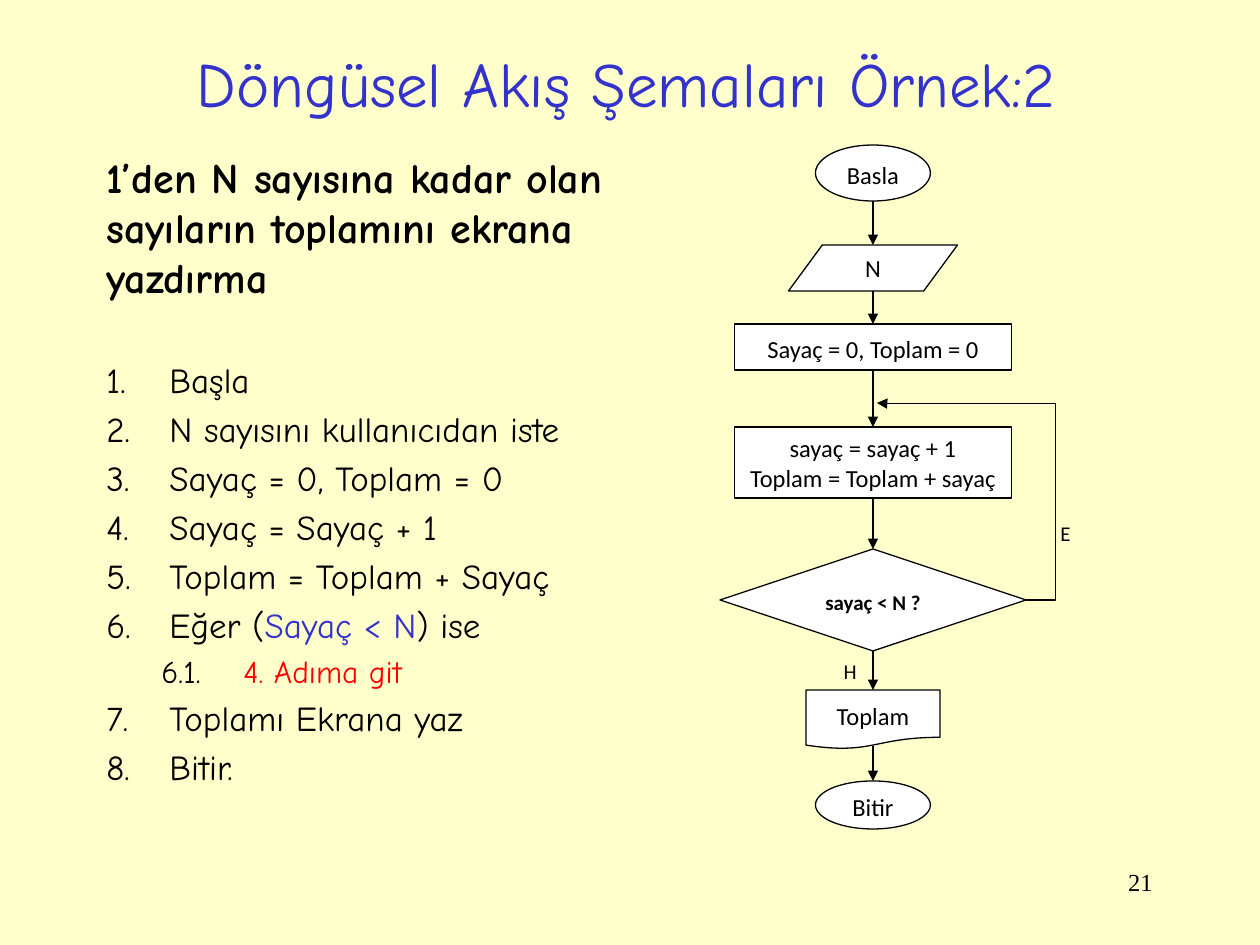
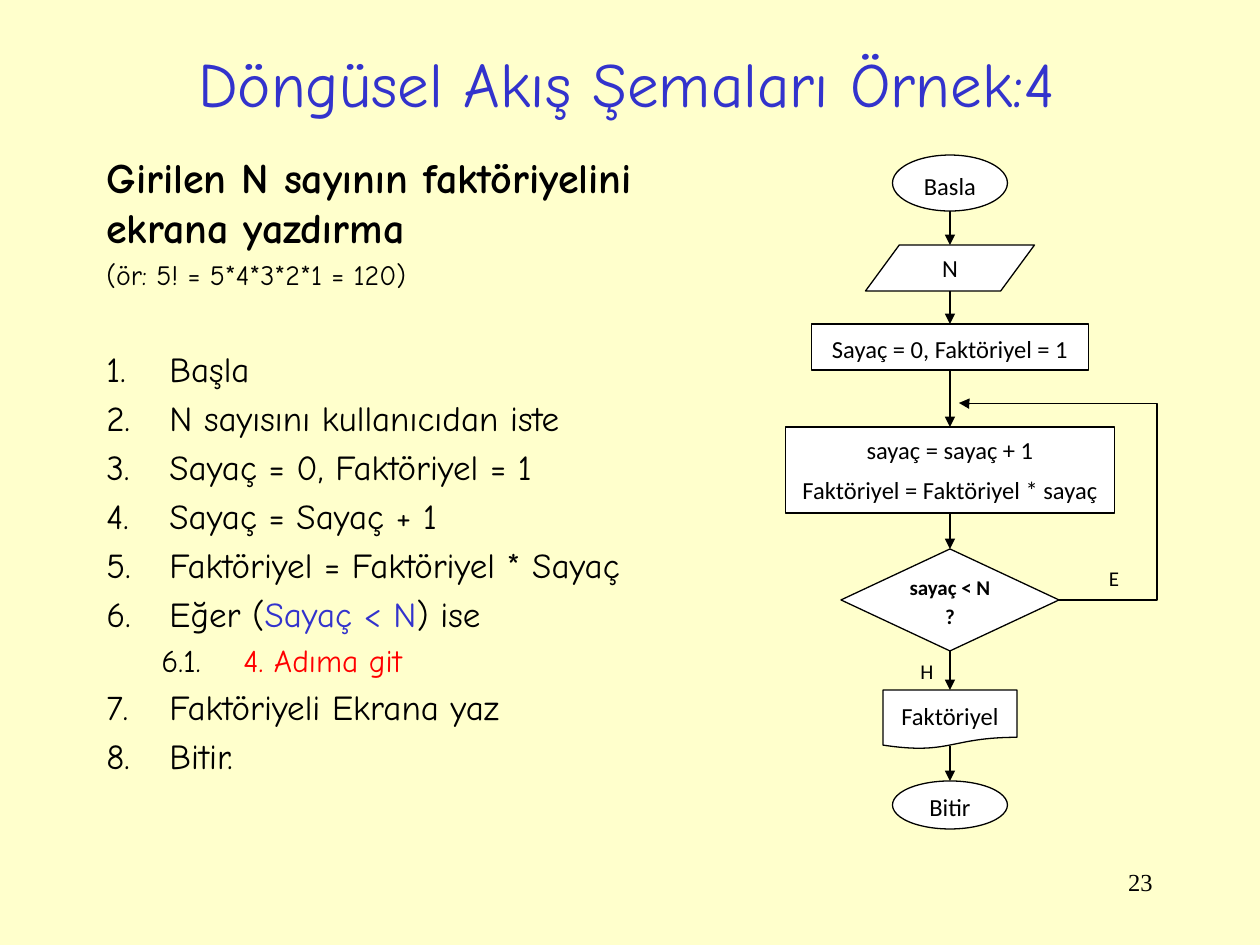
from lxml import etree
from pptx import Presentation, util as u
from pptx.dml.color import RGBColor
from pptx.enum import shapes, text
from pptx.oxml import ns

SCALE = 914400 / 126
CREAM = RGBColor(0xFF, 0xFF, 0xCC)
BLUE = RGBColor(0x33, 0x33, 0xCC)
RED = RGBColor(0xFF, 0, 0)
BLACK = RGBColor(0, 0, 0)
WHITE = RGBColor(0xFF, 0xFF, 0xFF)
HAND, SANS, SERIF = "Comic Neue", "Calibri", "Times New Roman"
CENTER, RIGHT = text.PP_ALIGN.CENTER, text.PP_ALIGN.RIGHT
MIDDLE, TOP = text.MSO_ANCHOR.MIDDLE, text.MSO_ANCHOR.TOP
KIND = shapes.MSO_SHAPE
LOOSE = dict(line=1.15, after=10)


def px(n):
    """Turn pixels into EMU."""
    return u.Emu(round(n * SCALE))


def sub(parent, tag, **attrs):
    """Append an XML child such as a:ln with its attributes."""
    return etree.SubElement(parent, ns.qn(tag), **attrs)


def write(p, content, font=SANS, size=14, color=BLACK, bold=False, align=None,
          line=None, before=None, after=None, margin=0, indent=0, level=0, numbered=False):
    """Fill a paragraph with a string or with (string, colour) runs."""
    runs = [(content, color)] if isinstance(content, str) else content
    for words, tint in runs:
        r = p.add_run()
        r.text = words
        r.font.name, r.font.size, r.font.bold = font, u.Pt(size), bold
        r.font.color.rgb = tint
    p.level = level
    if align is not None:
        p.alignment = align
    if line:
        p.line_spacing = line
    if before is not None:
        p.space_before = u.Pt(before)
    if after is not None:
        p.space_after = u.Pt(after)
    pPr = p._p.get_or_add_pPr()
    pPr.set("marL", str(px(margin)))
    pPr.set("indent", str(px(indent)))
    if numbered:
        sub(pPr, "a:buFont", typeface="+mj-lt")
        sub(pPr, "a:buAutoNum", type="arabicPeriod")


def write_lines(tf, lines, anchor=MIDDLE, **fmt):
    """Write equally formatted paragraphs into a text frame."""
    tf.word_wrap, tf.vertical_anchor = True, anchor
    for i, words in enumerate(lines):
        write(tf.paragraphs[0] if i == 0 else tf.add_paragraph(), words, **fmt)


def add_label(slide, box, words, **fmt):
    """Add a text box with one paragraph."""
    tf = slide.shapes.add_textbox(*map(px, box)).text_frame
    write_lines(tf, [words], **fmt)


def add_node(slide, kind, cx, top, width, height, lines, **fmt):
    """Add a flowchart shape centred on cx."""
    sp = slide.shapes.add_shape(kind, px(cx - width / 2), px(top), px(width), px(height))
    sp.shadow.inherit = False
    sp.fill.solid()
    sp.fill.fore_color.rgb = WHITE
    sp.line.color.rgb, sp.line.width = BLACK, u.Pt(0.75)
    write_lines(sp.text_frame, lines, align=CENTER, **fmt)


def add_arrow(slide, x1, y1, x2, y2, kind=shapes.MSO_CONNECTOR.STRAIGHT):
    """Add a connector with an arrowhead at its end."""
    c = slide.shapes.add_connector(kind, px(x1), px(y1), px(x2), px(y2))
    c.line.color.rgb, c.line.width = BLACK, u.Pt(0.75)
    sub(c.line._get_or_add_ln(), "a:tailEnd", type="triangle")
    sub(c._element.spPr, "a:effectLst")
    return c


def add_loop(slide, x1, y1, x2, y2, rail):
    """Add the return arrow that runs up along x = rail."""
    c = add_arrow(slide, x1, y1, x2, y2, shapes.MSO_CONNECTOR.ELBOW)
    geom = c._element.spPr.find(ns.qn("a:prstGeom"))
    geom.set("prst", "bentConnector4")
    guides = geom.find(ns.qn("a:avLst"))
    if guides is None:
        guides = sub(geom, "a:avLst")
    bend = round((x1 - rail) / (x1 - x2) * 100000)
    for name, value in (("adj1", bend), ("adj2", 99700)):
        sub(guides, "a:gd", name=name, fmla=f"val {value}")


def add_steps(slide, box, heading, note, steps):
    """Write the task, its note and the numbered algorithm."""
    tf = slide.shapes.add_textbox(*map(px, box)).text_frame
    tf.word_wrap, tf.vertical_anchor = True, TOP
    write(tf.paragraphs[0], heading, font=HAND, size=24, bold=True, before=4.8)
    if note:
        write(tf.add_paragraph(), note, font=HAND, size=16, before=3.2)
    for i, step in enumerate(steps):
        write(tf.add_paragraph(), step, font=HAND, size=20, before=4 if i else 32,
              margin=63, indent=-63, numbered=True)
        if i == 5:
            write(tf.add_paragraph(), [("6.1.\t", BLACK), ("4. Adıma git", RED)],
                  font=HAND, size=18, before=3.6, margin=137, indent=-82, level=1)


def add_flow(slide, cx, start_top, setup, process, process_size, process_after,
             test_width, output, loop_end, rail, e_box):
    """Draw the flowchart down the axis cx."""
    process_width, process_height = process_size
    nodes = [
        (KIND.FLOWCHART_CONNECTOR, start_top, 115, 56, ["Basla"], LOOSE),
        (KIND.FLOWCHART_DATA, 245, 169, 46, ["N"], {}),
        (KIND.RECTANGLE, 324, 277, 46, [setup], LOOSE),
        (KIND.RECTANGLE, 427, process_width, process_height, process, dict(after=process_after)),
        (KIND.FLOWCHART_DECISION, 549, test_width, 102, ["sayaç < N ?"],
         dict(LOOSE, size=12, bold=True)),
        (KIND.FLOWCHART_DOCUMENT, 690, 134, 59, [output], LOOSE),
        (KIND.FLOWCHART_CONNECTOR, 781, 115, 48, ["Bitir"], LOOSE),
    ]
    for kind, top, width, height, lines, fmt in nodes:
        add_node(slide, kind, cx, top, width, height, lines, **fmt)
    for (kind, top, _, height, *_), below in zip(nodes, nodes[1:]):
        lift = 3 if kind == KIND.FLOWCHART_DOCUMENT else 0
        add_arrow(slide, cx, top + height - lift, cx, below[1])
    add_loop(slide, cx + test_width / 2, 600, loop_end, 403, rail)
    for words, box in (("H", (cx - 44, 646, 42, 47)), ("E", e_box)):
        add_label(slide, box, words, size=12, align=CENTER, **LOOSE)


def add_slide(prs, title, number):
    """Add a slide with background, title and page number."""
    slide = prs.slides.add_slide(prs.slide_layouts[5])
    slide.background.fill.solid()
    slide.background.fill.fore_color.rgb = CREAM
    sp = slide.shapes.title
    sp.left, sp.top, sp.width, sp.height = map(px, (91, 19, 1071, 126))
    write_lines(sp.text_frame, [title], font=HAND, size=36, color=BLUE, align=CENTER)
    add_label(slide, (903, 861, 262, 63), number, font=SERIF, align=RIGHT, anchor=TOP)
    return slide


def algorithm(setup, update, output):
    """Return the eight steps of a counting loop."""
    return ["Başla", "N sayısını kullanıcıdan iste", setup, "Sayaç = Sayaç + 1", update,
            [("Eğer (", BLACK), ("Sayaç < N", BLUE), (") ise", BLACK)], output, "Bitir."]


def main():
    """Build both slides and save them."""
    prs = Presentation()
    prs.slide_width, prs.slide_height = px(1260), px(945)

    slide = add_slide(prs, "Döngüsel Akış Şemaları Örnek:2", "21")
    setup = "Sayaç = 0, Toplam = 0"
    add_steps(slide, (94, 145, 585, 694),
              "1’den N sayısına kadar olan sayıların toplamını ekrana yazdırma", None,
              algorithm(setup, "Toplam = Toplam + Sayaç", "Toplamı Ekrana yaz"))
    add_flow(slide, 873, 145, setup, ["sayaç = sayaç + 1", "Toplam = Toplam + sayaç"],
             (277, 71), 0, 306, "Toplam", 877, 1056, (1024, 508, 83, 47))

    slide = add_slide(prs, "Döngüsel Akış Şemaları Örnek:4", "23")
    setup = "Sayaç = 0, Faktöriyel = 1"
    add_steps(slide, (94, 145, 674, 694),
              "Girilen N sayının faktöriyelini ekrana yazdırma", "(ör: 5! = 5*4*3*2*1 = 120)",
              algorithm(setup, "Faktöriyel = Faktöriyel * Sayaç", "Faktöriyeli Ekrana yaz"))
    add_flow(slide, 950, 155, setup, ["sayaç = sayaç + 1", "Faktöriyel = Faktöriyel * sayaç"],
             (329, 86), 6, 218, "Faktöriyel", 959, 1157, (1082, 553, 64, 47))

    prs.save("out.pptx")


main()
